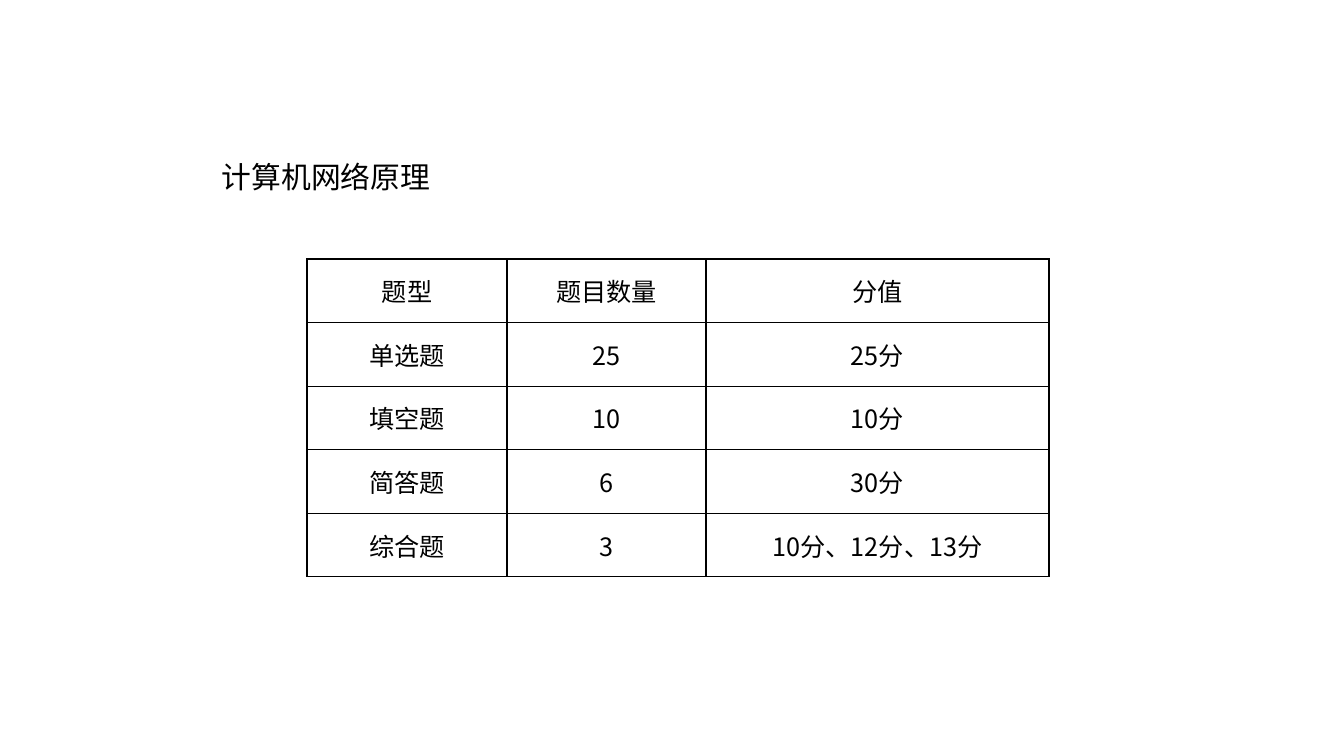
from lxml import etree
from pptx import Presentation
from pptx.dml.color import RGBColor
from pptx.enum.text import MSO_ANCHOR, MSO_AUTO_SIZE, PP_ALIGN
from pptx.oxml.ns import qn
from pptx.util import Pt

MIDDLE, TOP = MSO_ANCHOR.MIDDLE, MSO_ANCHOR.TOP
CENTER, LEFT = PP_ALIGN.CENTER, PP_ALIGN.LEFT
NO_AUTOFIT = MSO_AUTO_SIZE.NONE
BLACK = "000000"
CJK_FONT = "Noto Sans CJK SC"


def px(length):
    return round(length * 914400 / 100.8)


def style(paragraph, face, size, align):
    paragraph.alignment = align
    font = paragraph.font
    font.name, font.size = face, Pt(size)
    font.color.rgb = RGBColor.from_string(BLACK)
    east_asian = etree.SubElement(paragraph._p.pPr.find(qn("a:defRPr")), qn("a:ea"))
    east_asian.set("typeface", CJK_FONT)


prs = Presentation()
prs.slide_width, prs.slide_height = px(1344), px(756)
slide = prs.slides.add_slide(prs.slide_layouts[5])

# Course name
course = slide.shapes.title
course.left, course.top, course.width, course.height = px(207), px(154), px(560), px(46)
course_text = course.text_frame
course_text.text = "计算机网络原理"
course_text.auto_size = NO_AUTOFIT
course_text.vertical_anchor = TOP
course_text.margin_left = px(15)
style(course_text.paragraphs[0], "Arial", 21.3, LEFT)

# Question types and scores
question_types = [
    ("题型", "题目数量", "分值"),
    ("单选题", "25", "25分"),
    ("填空题", "10", "10分"),
    ("简答题", "6", "30分"),
    ("综合题", "3", "10分、12分、13分"),
]
exam = slide.shapes.add_table(5, 3, px(307), px(259), px(742), px(318)).table
exam.first_row = exam.horz_banding = False
for column, width in zip(exam.columns, (200, 199, 343)):
    column.width = px(width)

for r, question_type in enumerate(question_types):
    for c, value in enumerate(question_type):
        cell = exam.cell(r, c)
        cell.text = value
        cell.vertical_anchor = MIDDLE
        style(cell.text_frame.paragraphs[0], CJK_FONT, 18, CENTER)

        # Borders come before the fill in the cell properties
        properties = cell._tc.get_or_add_tcPr()
        for side in ("a:lnL", "a:lnR", "a:lnT", "a:lnB"):
            border = etree.SubElement(properties, qn(side), w=str(Pt(1)))
            line_fill = etree.SubElement(border, qn("a:solidFill"))
            etree.SubElement(line_fill, qn("a:srgbClr"), val=BLACK)
        cell.fill.background()

prs.save("out.pptx")
